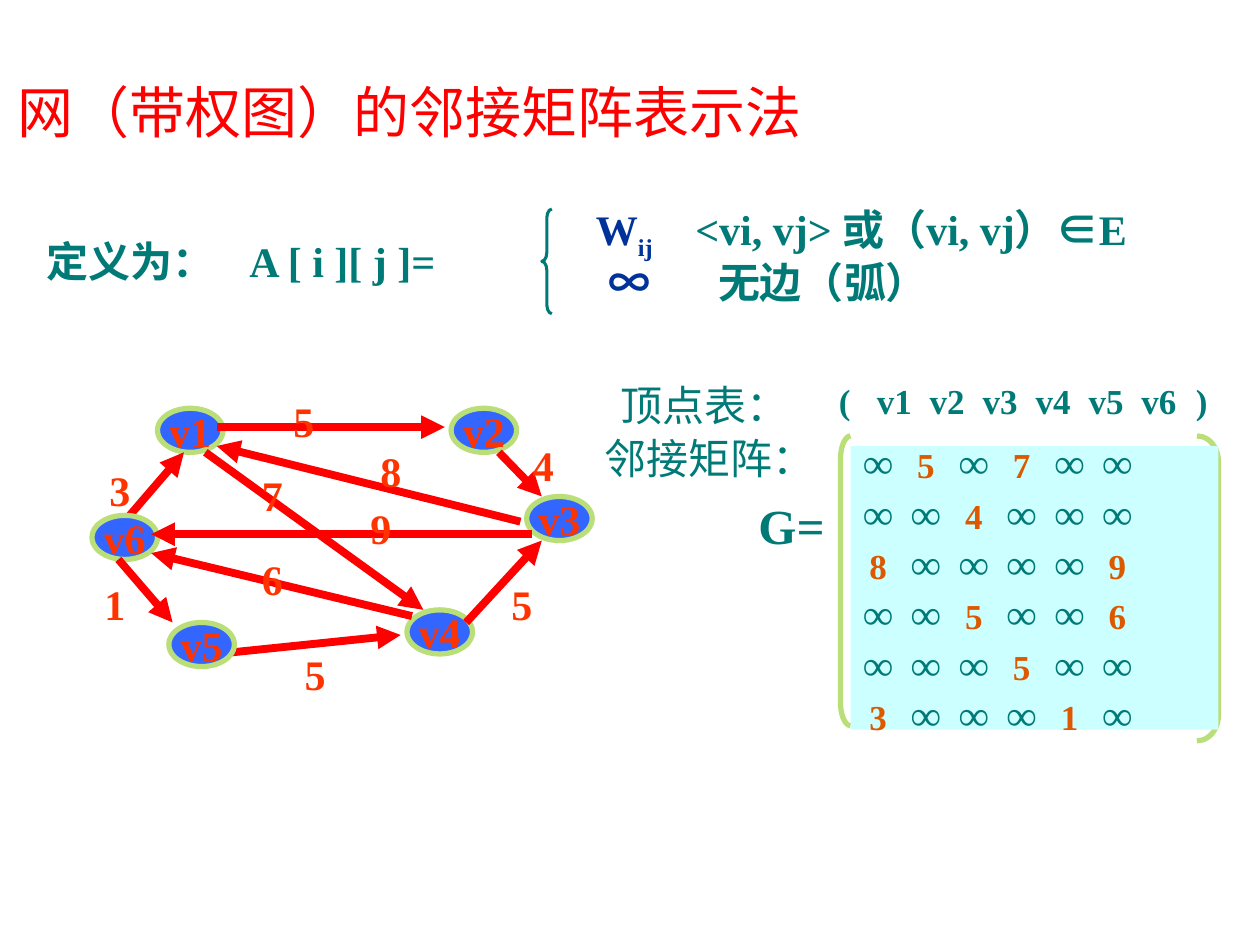
import pptx
import pptx.util
import pptx.dml.color
import pptx.enum.shapes
import pptx.enum.text
import pptx.oxml.ns
from lxml import etree

Inches, Pt = pptx.util.Inches, pptx.util.Pt
KIND = pptx.enum.shapes.MSO_SHAPE
ALIGN = pptx.enum.text.PP_ALIGN
MID = pptx.enum.text.MSO_ANCHOR.MIDDLE
qn = pptx.oxml.ns.qn

HEX = {"teal": "007A77", "navy": "003399", "red": "FF0000", "label": "FF3300",
       "weight": "DC5900", "node": "3366FF", "rim": "BADE78", "panel": "CCFFFF"}
SERIF, SANS = "Times New Roman", "Noto Sans CJK SC"

TEAL = {"size": 24, "bold": True, "color": "teal"}
NAVY = {**TEAL, "color": "navy"}
PLAIN = {**TEAL, "bold": False}
LABEL = {**TEAL, "color": "label"}
BIG = {**TEAL, "size": 28}
HEAD = {**TEAL, "size": 20}
COST = {**HEAD, "color": "weight"}
TITLE = {"size": 32, "color": "red", "name": SANS}

# box, runs, tab stops
TEXTS = [
    ((0.27, 1.82, 1.67, 0.5), [("定义为：", TEAL)], []),
    ((1.88, 1.82, 1.69, 0.5), [("A [ i ][ j ]=", TEAL)], []),
    ((4.63, 1.57, 4.92, 0.56),
     [("W", NAVY), ("ij", {**NAVY, "sub": True}),
      ("\t<vi, vj> 或（vi, vj）∈E", TEAL)], [(0.79, "l")]),
    ((4.73, 1.99, 2.75, 0.5),
     [("∞", NAVY), ("\t无边（弧）", TEAL)], [(0.87, "l")]),
    ((4.83, 2.96, 1.78, 0.5), [("顶点表：", PLAIN)], []),
    ((4.7, 3.38, 1.97, 0.5), [("邻接矩阵：", PLAIN)], []),
    ((5.92, 3.88, 0.83, 0.57), [("G", BIG), ("=", {**BIG, "italic": True})], []),
]
NODES = [("v1", 1.25, 3.24), ("v2", 3.58, 3.24), ("v3", 4.18, 3.94),
         ("v4", 3.23, 4.84), ("v5", 1.34, 4.94), ("v6", 0.73, 4.09)]
# start and tip
ARROWS = [
    (1.72, 3.39, 3.53, 3.39), (1.03, 4.09, 1.46, 3.59),
    (1.72, 5.19, 3.18, 5.04), (4.13, 4.14, 1.72, 3.54),
    (3.7, 4.94, 4.3, 4.29), (4.22, 4.24, 1.2, 4.24),
    (3.27, 4.89, 1.2, 4.39), (1.63, 3.59, 3.36, 4.84),
    (0.94, 4.44, 1.37, 4.94), (3.96, 3.59, 4.3, 3.94),
]
COSTS = [("5", 2.23, 3.09), ("4", 4.13, 3.44), ("8", 2.92, 3.49),
         ("9", 2.84, 3.94), ("7", 1.98, 3.68), ("5", 3.96, 4.54),
         ("5", 2.32, 5.1), ("6", 1.98, 4.34), ("1", 0.73, 4.54),
         ("3", 0.77, 3.64)]
# kind, box, curve ratios, colour, width
BRACES = [
    (KIND.LEFT_BRACE, (4.3, 1.66, 0.08, 0.83), [0.86, 0.5], "teal", 1.75),
    (KIND.LEFT_BRACKET, (6.67, 3.46, 0.08, 2.3), [2.4], "rim", 3),
    (KIND.RIGHT_BRACKET, (9.5, 3.46, 0.17, 2.42), [1.18], "rim", 3),
]
MATRIX = ["∞5∞7∞∞", "∞∞4∞∞∞", "8∞∞∞∞9", "∞∞5∞∞6", "∞∞∞5∞∞", "3∞∞∞1∞"]

deck = pptx.Presentation()
deck.slide_width, deck.slide_height = Inches(10), Inches(7.5)
slide = deck.slides.add_slide(deck.slide_layouts[6])
shapes = slide.shapes


def rgb(name):
    return pptx.dml.color.RGBColor.from_string(HEX[name])


def write(para, runs, tabs=()):
    if tabs:
        stops = etree.SubElement(para._p.get_or_add_pPr(), qn("a:tabLst"))
        for pos, side in tabs:
            etree.SubElement(stops, qn("a:tab"), pos=str(Inches(pos)), algn=side)
    for text, form in runs:
        run = para.add_run()
        run.text = text
        for key, value in {"name": SERIF, **form}.items():
            if key == "color":
                run.font.color.rgb = rgb(value)
            elif key == "sub":
                run.font._element.set("baseline", "-25000")
            else:
                setattr(run.font, key, Pt(value) if key == "size" else value)
        latin = run.font._element.find(qn("a:latin"))
        east = etree.Element(qn("a:ea"), typeface=SANS)
        latin.addnext(east)


def label(box, runs, tabs=()):
    frame = shapes.add_textbox(*map(Inches, box)).text_frame
    frame.word_wrap = True
    write(frame.paragraphs[0], runs, tabs)
    return frame


def draw(kind, box, fill=None, line=None, width=3):
    shape = shapes.add_shape(kind, *map(Inches, box))
    shape.shadow.inherit = False
    if fill:
        shape.fill.solid()
        shape.fill.fore_color.rgb = rgb(fill)
    else:
        shape.fill.background()
    if line:
        shape.line.color.rgb = rgb(line)
        shape.line.width = Pt(width)
    else:
        shape.line.fill.background()
    return shape


def node(name, left, top):
    frame = draw(KIND.OVAL, (left, top, 0.52, 0.35), "node", "rim").text_frame
    frame.word_wrap = False
    frame.vertical_anchor = MID
    frame.paragraphs[0].alignment = ALIGN.CENTER
    write(frame.paragraphs[0], [(name, LABEL)])


def arrow(*ends):
    link = shapes.add_connector(pptx.enum.shapes.MSO_CONNECTOR.STRAIGHT,
                                *map(Inches, ends))
    link.line.color.rgb = rgb("red")
    link.line.width = Pt(4.5)
    etree.SubElement(link.line._get_or_add_ln(), qn("a:tailEnd"), type="triangle")
    etree.SubElement(link._element.spPr, qn("a:effectLst"))


for item in TEXTS:
    label(*item)

# The last two nodes lie over the first four arrows.
for part, links in ((NODES[:4], ARROWS[:4]), (NODES[4:], ARROWS[4:])):
    for item in part:
        node(*item)
    for ends in links:
        arrow(*ends)
for cost, left, top in COSTS:
    label((left, top, 0.52, 0.5), [(cost, LABEL)])

for kind, box, curves, color, width in BRACES:
    brace = draw(kind, box, None, color, width)
    for i, curve in enumerate(curves):
        brace.adjustments[i] = curve

stops = [(0.44 + 0.42 * i, "ctr") for i in range(len(NODES))] + [(2.88, "ctr")]
names = "\t".join(["(", *(name for name, *_ in NODES), ")"])
label((6.56, 2.96, 3.4, 0.42), [(names, HEAD)], stops)

frame = draw(KIND.RECTANGLE, (6.75, 3.54, 2.92, 2.25), "panel").text_frame
frame.word_wrap = True
frame.vertical_anchor = MID
stops = [(0.12 + 0.38 * i, "ctr") for i in range(len(MATRIX))]
for i, row in enumerate(MATRIX):
    para = frame.add_paragraph() if i else frame.paragraphs[0]
    para.alignment = ALIGN.LEFT
    write(para, [("\t" + cell, TEAL if cell == "∞" else COST) for cell in row], stops)
    para.line_spacing = Pt(28.8)

label((0.04, 0.6, 7, 0.56), [("网（带权图）的邻接矩阵表示法", TITLE)]).vertical_anchor = MID

deck.save("out.pptx")
